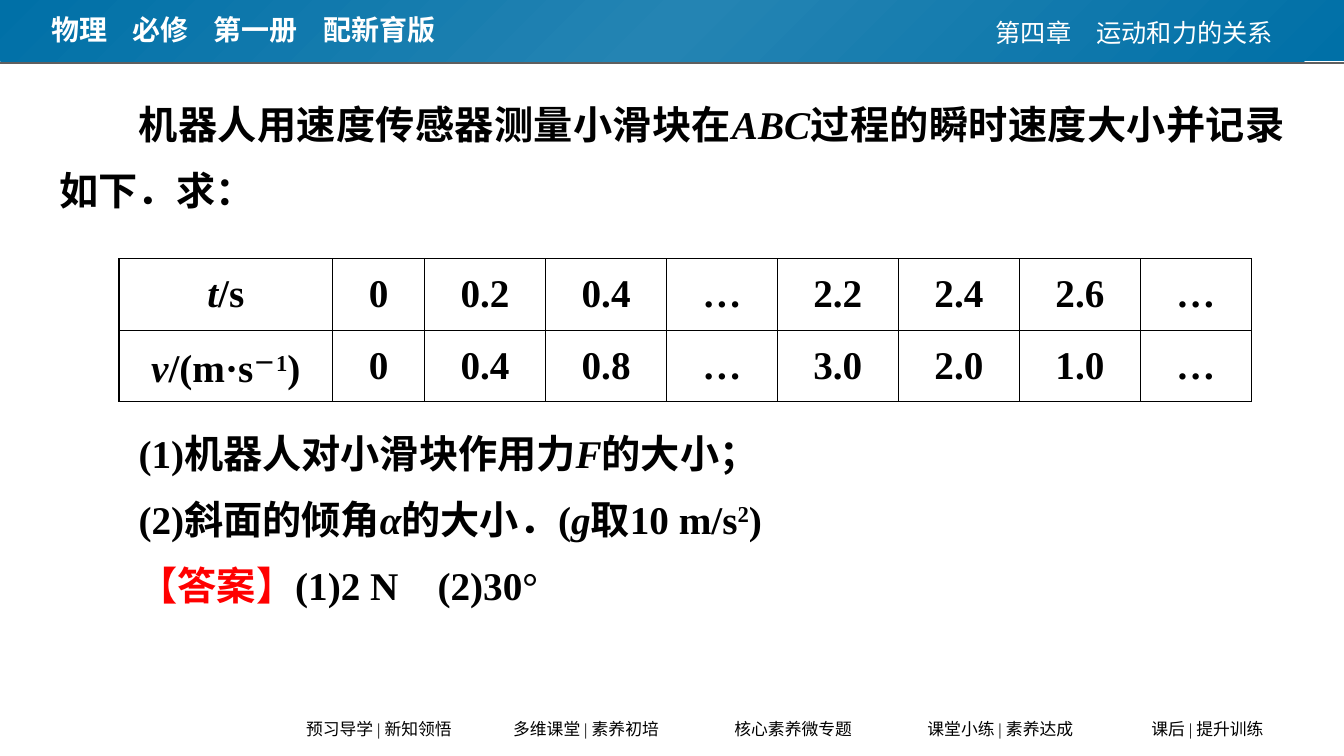
from copy import deepcopy
from dataclasses import dataclass

from lxml.etree import SubElement
from pptx import Presentation
from pptx.dml.color import RGBColor
from pptx.enum.shapes import MSO_CONNECTOR, MSO_SHAPE
from pptx.enum.text import MSO_ANCHOR, MSO_AUTO_SIZE, PP_ALIGN
from pptx.oxml.ns import qn
from pptx.util import Cm, Pt


@dataclass(frozen=True)
class Theme:
    """Colours, fonts and type sizes of the slide."""
    deep: str = "0070A7"
    light: str = "2484B3"
    rule: str = "5F5F5F"
    black: str = "000000"
    white: str = "FFFFFF"
    red: str = "FF0000"
    latin: str = "Times New Roman"
    asian: str = "Noto Sans CJK SC"
    body: int = 28
    book: int = 20
    head: int = 18
    foot: int = 12


THEME = Theme()
WIDE = 33.87
BOOK = [("物理", ""), ("　", "gap"), ("必修", ""), ("　", "gap"),
        ("第一册", ""), ("　", "gap"), ("配新育版", "")]
STEPS = ["预习导学 | 新知领悟", "多维课堂 | 素养初培", "核心素养微专题",
         "课堂小练 | 素养达成", "课后 | 提升训练"]
TASK = [
    [("机器人用速度传感器测量小滑块在", ""), ("ABC", "i"),
     ("过程的瞬时速度大小并记录如下．求：", "")],
    [("(1)机器人对小滑块作用力", ""), ("F", "i"), ("的大小；", "")],
    [("(2)斜面的倾角", ""), ("α", "i"), ("的大小．(", ""), ("g", "i"),
     ("取10 m/s", ""), ("2", "sup"), (")", "")],
    [("【答案】", "red"), ("(1)2 N　(2)30°", "")],
]
TIME = [("t", "i"), ("/s", "")]
SPEED = [("v", "i"), ("/(m·s", ""), ("－1", "sup"), (")", "")]
DATA = [
    (TIME, ["0", "0.2", "0.4", "…", "2.2", "2.4", "2.6", "…"]),
    (SPEED, ["0", "0.4", "0.8", "…", "3.0", "2.0", "1.0", "…"]),
]
COLS = [5.38, 2.32, 3.05, 3.05, 2.79, 3.05, 3.05, 3.05, 2.79]


def tint(code):
    """Turn a hex code into a colour."""
    return RGBColor.from_string(code)


def style(para, size, color=THEME.black, bold=False, align=PP_ALIGN.LEFT):
    """Set the alignment and the shared font of a paragraph."""
    para.alignment = align
    font = para.font
    font.size, font.bold, font.name = Pt(size), bold, THEME.latin
    font.color.rgb = tint(color)
    base = para._p.pPr.find(qn("a:defRPr"))
    SubElement(base, qn("a:ea")).set("typeface", THEME.asian)


def write(para, parts):
    """Add runs that are plain, italic, raised, red or a smaller gap."""
    for text, kind in parts:
        run = para.add_run()
        run.text = text
        if kind == "i":
            run.font.italic = True
        elif kind == "sup":
            run._r.get_or_add_rPr().set("baseline", "30000")
        elif kind == "red":
            run.font.color.rgb = tint(THEME.red)
        elif kind == "gap":
            run.font.size, run.font.bold = Pt(THEME.head), False


def label(slide, box, parts, size, **look):
    """Add a one-line text box."""
    frame = slide.shapes.add_textbox(*map(Cm, box)).text_frame
    frame.word_wrap = True
    para = frame.paragraphs[0]
    style(para, size, **look)
    write(para, parts)


def band(slide):
    """Draw the gradient band and the rule beneath it."""
    bar = slide.shapes.add_shape(MSO_SHAPE.RECTANGLE, 0, 0, Cm(WIDE), Cm(1.54))
    bar.shadow.inherit = False
    bar.line.fill.background()
    bar.fill.gradient()
    bar.fill.gradient_angle = 315
    stops = bar._element.spPr.find(".//" + qn("a:gsLst"))
    stops.append(deepcopy(stops[0]))
    shades = [THEME.deep, THEME.light, THEME.deep]
    for i, (stop, shade) in enumerate(zip(bar.fill.gradient_stops, shades)):
        stop.position = i / 2
        stop.color.rgb = tint(shade)
    rule = slide.shapes.add_connector(
        MSO_CONNECTOR.STRAIGHT, 0, Cm(1.58), Cm(WIDE), Cm(1.58))
    rule.line.color.rgb = tint(THEME.rule)
    rule.line.width = Pt(1.5)
    SubElement(rule._element.spPr, qn("a:effectLst"))


def header(slide):
    """Name the chapter and the book in the band."""
    label(slide, (16.33, 0.31, 16, 1.02), [("第四章　运动和力的关系", "")],
          THEME.head, color=THEME.white, align=PP_ALIGN.RIGHT)
    label(slide, (1.04, 0.2, 11.61, 1.09), BOOK,
          THEME.book, color=THEME.white, bold=True)


def footer(slide):
    """Lay out the lesson steps at an even pitch."""
    for i, step in enumerate(STEPS):
        label(slide, (7.24 + 5.22 * i, 17.98, 4.62, 0.76), [(step, "")],
              THEME.foot, align=PP_ALIGN.CENTER)


def task(body):
    """Fill the body, leaving room for the table after the lead."""
    body.left, body.top, body.width, body.height = map(
        Cm, (1.24, 1.93, 31.39, 13.56))
    frame = body.text_frame
    frame.auto_size = MSO_AUTO_SIZE.NONE
    for i, parts in enumerate(TASK):
        para = frame.add_paragraph() if i else frame.paragraphs[0]
        props = para._p.get_or_add_pPr()
        props.set("marL", "0")
        props.set("indent", str(Cm(2)))
        SubElement(props, qn("a:buNone"))
        para.line_spacing = 1.4
        para.space_before = Pt(141 if i == 1 else 0)
        style(para, THEME.body, bold=True, align=PP_ALIGN.JUSTIFY)
        write(para, parts)


def edge(cell):
    """Give a cell thin black borders and no fill."""
    props = cell._tc.get_or_add_tcPr()
    for side in ("lnL", "lnR", "lnT", "lnB"):
        line = SubElement(props, qn("a:" + side), w=str(Pt(1)))
        fill = SubElement(line, qn("a:solidFill"))
        SubElement(fill, qn("a:srgbClr"), val=THEME.black)
    cell.fill.background()


def table(slide):
    """Add the table of times and speeds."""
    grid = slide.shapes.add_table(
        len(DATA), len(COLS), Cm(3), Cm(6.52), Cm(sum(COLS)), Cm(3.6)).table
    grid.first_row = grid.horz_banding = False
    for col, width in zip(grid.columns, COLS):
        col.width = Cm(width)
    for r, (name, values) in enumerate(DATA):
        for c, parts in enumerate([name] + [[(v, "")] for v in values]):
            cell = grid.cell(r, c)
            cell.vertical_anchor = MSO_ANCHOR.MIDDLE
            edge(cell)
            para = cell.text_frame.paragraphs[0]
            style(para, THEME.body, bold=True, align=PP_ALIGN.CENTER)
            write(para, parts)


def main():
    """Build and save the slide."""
    deck = Presentation()
    deck.slide_width, deck.slide_height = Cm(WIDE), Cm(19.05)
    slide = deck.slides.add_slide(deck.slide_layouts[1])
    title = slide.shapes.title._element
    title.getparent().remove(title)
    band(slide)
    header(slide)
    footer(slide)
    task(slide.placeholders[1])
    table(slide)
    deck.save("out.pptx")


if __name__ == "__main__":
    main()
